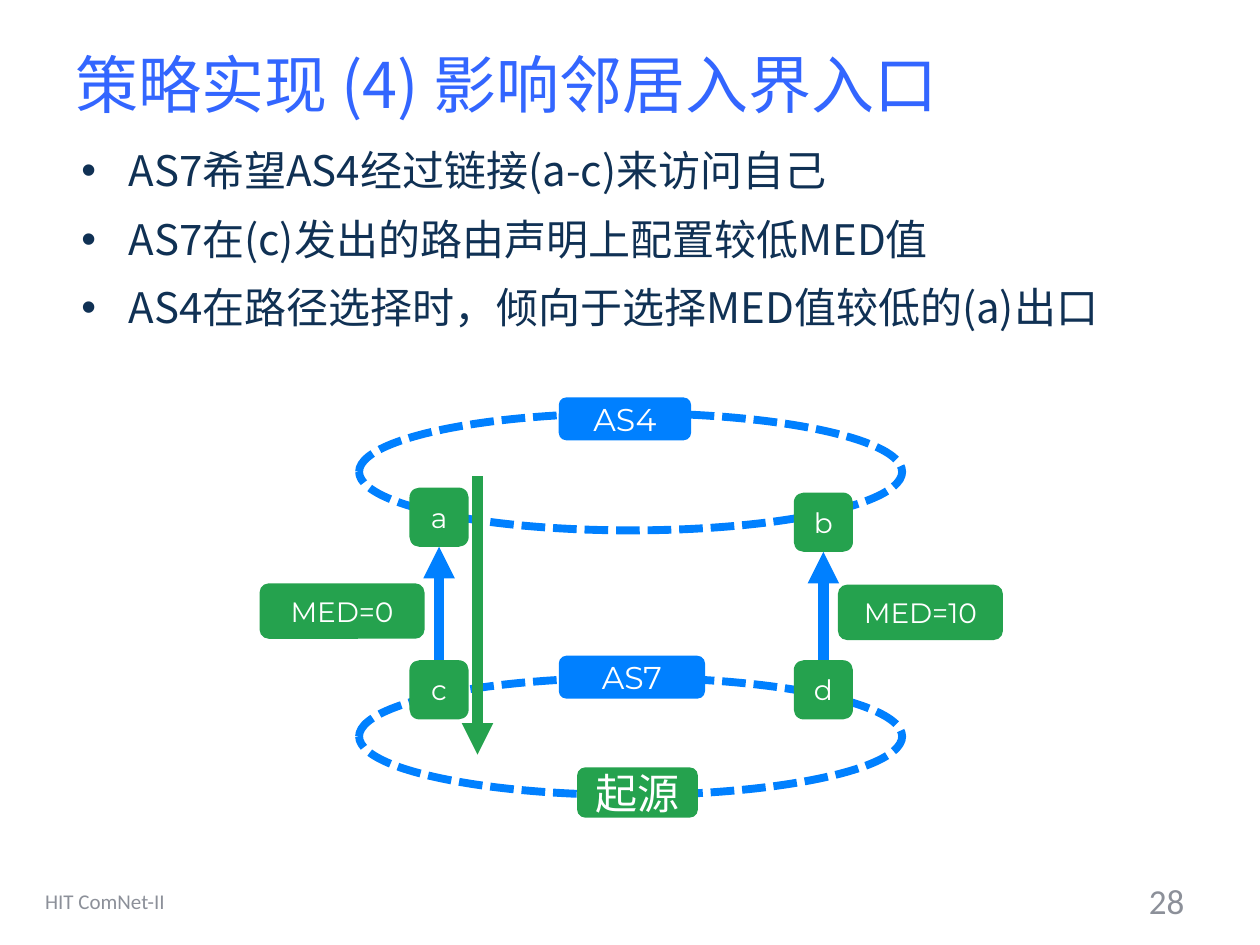
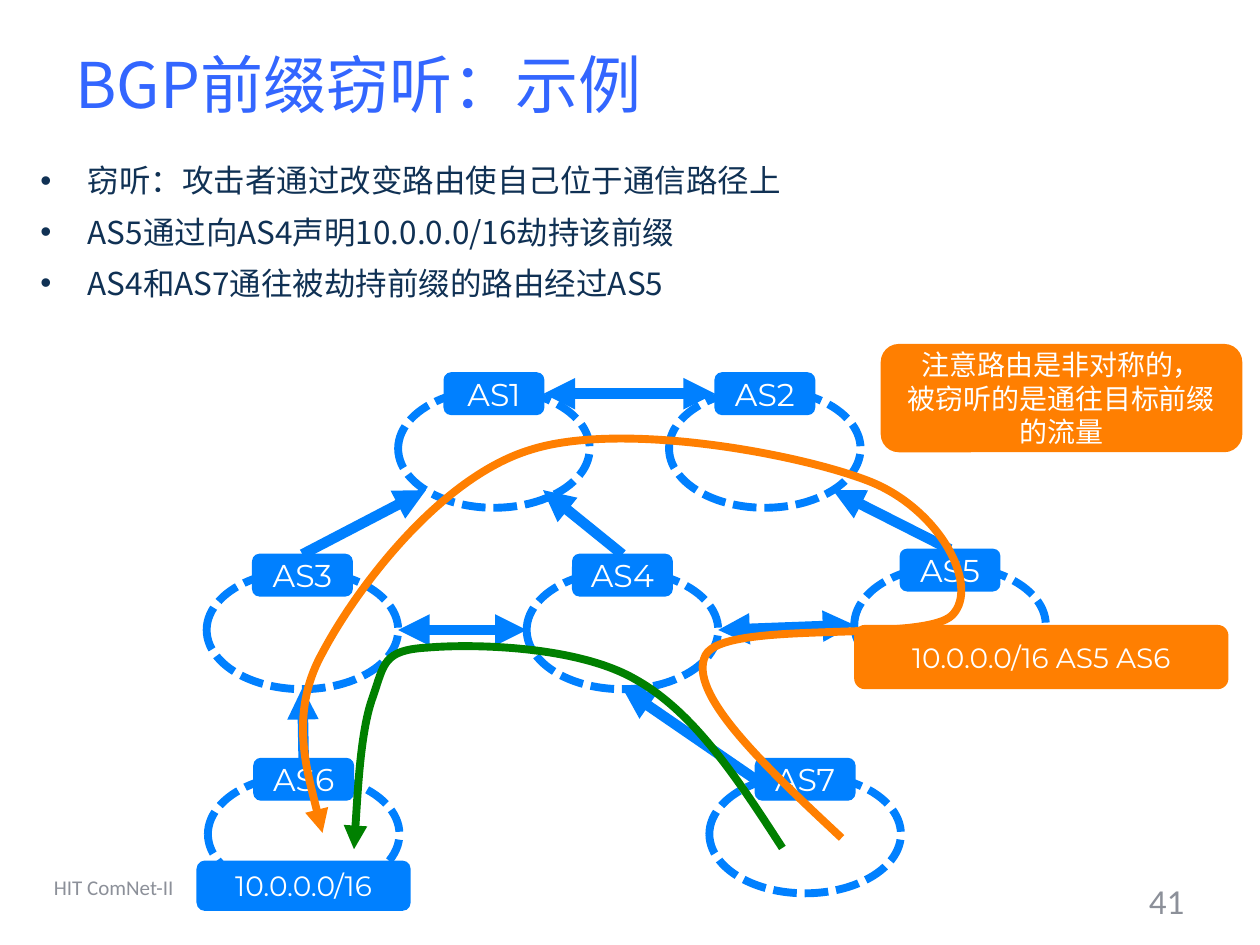
from lxml.etree import SubElement
from pptx import Presentation
from pptx.dml.color import RGBColor
from pptx.enum.dml import MSO_LINE
from pptx.enum.shapes import MSO_CONNECTOR, MSO_SHAPE
from pptx.enum.text import MSO_ANCHOR, MSO_AUTO_SIZE, PP_ALIGN
from pptx.oxml.ns import qn
from pptx.util import Inches, Pt

ELLIPSE, ROUNDED = MSO_SHAPE.OVAL, MSO_SHAPE.ROUNDED_RECTANGLE
STRAIGHT, DASHED = MSO_CONNECTOR.STRAIGHT, MSO_LINE.SQUARE_DOT
LEFT, CENTER, RIGHT = PP_ALIGN.LEFT, PP_ALIGN.CENTER, PP_ALIGN.RIGHT
TOP, MIDDLE = MSO_ANCHOR.TOP, MSO_ANCHOR.MIDDLE
SITE_TOP, SITE_LEFT, SITE_BOTTOM, SITE_RIGHT = range(4)

TITLE_BLUE = RGBColor(0x33, 0x66, 0xFF)
NAVY = RGBColor(0x10, 0x31, 0x54)
GRAY = RGBColor(0x8C, 0x90, 0x99)
WHITE = RGBColor(0xFF, 0xFF, 0xFF)
BLUE = RGBColor(0x00, 0x80, 0xFF)
GREEN = RGBColor(0x25, 0xA2, 0x4E)
DARK_GREEN = RGBColor(0x00, 0x80, 0x00)
ORANGE = RGBColor(0xFF, 0x7F, 0x01)

CJK, LATIN, FOOTER = "Noto Sans CJK SC", "Montserrat", "Calibri"
COLUMNS, ROWS = 100, 75


def grid(*cells):
    return [Inches(cell / 10) for cell in cells]


def write(box, lines, size=16, font=LATIN, color=WHITE, align=CENTER,
          anchor=MIDDLE, line_spacing=1.0, space_before=0):
    frame = box.text_frame
    frame.word_wrap = True
    frame.auto_size = MSO_AUTO_SIZE.NONE
    frame.vertical_anchor = anchor
    for index, line in enumerate(lines):
        para = frame.add_paragraph() if index else frame.paragraphs[0]
        para.alignment = align
        para.line_spacing = line_spacing
        para.space_before = Pt(space_before if index else 0)
        span = para.add_run()
        span.text = line
        span.font.size = Pt(size)
        span.font.name = font
        span.font.color.rgb = color
        SubElement(span.font._element, qn("a:ea"), typeface=font)


def place(box, area):
    box.left, box.top, box.width, box.height = grid(*area)


def add_page(deck, title, points, body_area, body_size, number, footer_at):
    page = deck.slides.add_slide(deck.slide_layouts[1])
    heading, body = page.placeholders
    place(heading, (5, 0.4, 90, 12.5))
    write(heading, [title], size=36, font=CJK, color=TITLE_BLUE, align=LEFT)
    place(body, body_area)
    write(body, points, size=body_size, font=CJK, color=NAVY, align=LEFT,
          anchor=TOP, line_spacing=1.2, space_before=body_size * 0.19)
    footer = page.shapes.add_textbox(*grid(*footer_at, 31.7, 4))
    write(footer, ["HIT ComNet-II"], size=12, font=FOOTER, color=GRAY, align=LEFT)
    counter = page.shapes.add_textbox(*grid(71.7, 69.5, 23.3, 4))
    write(counter, [number], size=20, font=FOOTER, color=GRAY, align=RIGHT)
    return page


def add_label(page, lines, area, color, **text_format):
    box = page.shapes.add_shape(ROUNDED, *grid(*area))
    box.shadow.inherit = False
    box.fill.solid()
    box.fill.fore_color.rgb = color
    box.line.fill.background()
    write(box, lines, **text_format)
    return box


def add_system(page, name, ring_area, label_area):
    ring = page.shapes.add_shape(ELLIPSE, *grid(*ring_area))
    ring.shadow.inherit = False
    ring.fill.background()
    ring.line.color.rgb = BLUE
    ring.line.width = Pt(4.5)
    ring.line.dash_style = DASHED
    label = add_label(page, [name], label_area, BLUE, size=18)
    label.line.color.rgb = BLUE
    label.line.width = Pt(0.75)
    return label


def add_arrowheads(shape, ends):
    outline = shape._element.spPr.find(qn("a:ln"))
    for end in ends:
        SubElement(outline, qn(f"a:{end}"), type="triangle")


def add_arrow(page, start, finish, color=BLUE, ends=("headEnd",)):
    def position(end):
        return grid(*end) if isinstance(end[0], (int, float)) else (0, 0)

    arrow = page.shapes.add_connector(STRAIGHT, *position(start), *position(finish))
    for end, connect in ((start, arrow.begin_connect), (finish, arrow.end_connect)):
        if not isinstance(end[0], (int, float)):
            connect(*end)
    arrow.line.color.rgb = color
    arrow.line.width = Pt(6)
    add_arrowheads(arrow, ends)
    SubElement(arrow._element.spPr, qn("a:effectLst"))


def add_route(page, knots, color):
    builder = page.shapes.build_freeform(*grid(*knots[0]))
    builder.add_line_segments([grid(*knot) for knot in knots[3::3]], close=False)
    route = builder.convert_to_shape()
    for index, segment in enumerate(list(route._element.iter(qn("a:lnTo")))):
        segment.tag = qn("a:cubicBezTo")
        for knot in knots[3 * index + 1:3 * index + 3]:
            x, y = grid(*knot)
            SubElement(segment, qn("a:pt"), x=str(x - route.left), y=str(y - route.top))
        segment.append(segment[0])
    route.shadow.inherit = False
    route.fill.background()
    route.line.color.rgb = color
    route.line.width = Pt(4.5)
    add_arrowheads(route, ["tailEnd"])


def add_entry_policy(deck):
    page = add_page(deck, "策略实现 (4) 影响邻居入界入口", [
        "AS7希望AS4经过链接(a-c)来访问自己",
        "AS7在(c)发出的路由声明上配置较低MED值",
        "AS4在路径选择时，倾向于选择MED值较低的(a)出口",
    ], (5.45, 10.2, 90, 16), 24, "28", (2.6, 69.5))
    add_system(page, "AS4", (28.5, 32.8, 43.1, 9.3), (44.4, 31.6, 10.4, 3.3))
    add_system(page, "AS7", (28.5, 53.8, 43.1, 9.3), (44.4, 52.1, 11.5, 3.3))
    add_arrow(page, (37.9, 37.8), (37.9, 59.9), GREEN, ["tailEnd"])
    add_label(page, ["起源"], (45.8, 60.9, 9.6, 4), GREEN, size=24, font=CJK)
    routers = {
        name: add_label(page, [name], (column, row, 4.7, 4.7), GREEN)
        for name, column, row in (("a", 32.5, 38.7), ("b", 63, 39.1),
                                  ("d", 63, 52.4), ("c", 32.5, 52.4))
    }
    for upper, lower in ("ac", "bd"):
        add_arrow(page, (routers[upper], SITE_BOTTOM), (routers[lower], SITE_TOP))
    for text, column, row in (("MED=0", 20.6, 46.3), ("MED=10", 66.5, 46.4)):
        add_label(page, [text], (column, row, 13.1, 4.4), GREEN)


def add_interception(deck):
    page = add_page(deck, "BGP前缀窃听：示例", [
        "窃听：攻击者通过改变路由使自己位于通信路径上",
        "AS5通过向AS4声明10.0.0.0/16劫持该前缀",
        "AS4和AS7通往被劫持前缀的路由经过AS5",
    ], (2.2, 11.7, 96.4, 14), 18, "41", (3.3, 68.4))
    systems = {
        name: add_system(page, name, (column, row, 15.2, 9.4),
                         (column + 3.65, row - 1.3, 7.9, 3.3))
        for name, column, row in (
            ("AS2", 53.1, 30.9), ("AS1", 31.6, 30.9), ("AS3", 16.4, 45.3),
            ("AS4", 41.8, 45.3), ("AS5", 67.8, 44.9), ("AS6", 16.5, 61.5),
            ("AS7", 56.3, 61.5))
    }
    for provider_edge, customer, site in (
            ((24, 54.6), "AS6", SITE_TOP), ((49.4, 54.6), "AS7", SITE_LEFT),
            ((66.1, 38.9), "AS5", SITE_TOP), ((43.1, 38.9), "AS4", SITE_TOP),
            ((33.8, 38.9), "AS3", SITE_TOP)):
        add_arrow(page, provider_edge, (systems[customer], site))
    for start, finish in (
            ((systems["AS1"], SITE_RIGHT), (systems["AS2"], SITE_LEFT)),
            ((31.6, 50), (41.8, 50)), ((57, 50), (67.8, 49.6))):
        add_arrow(page, start, finish, ends=("headEnd", "tailEnd"))
    add_route(page, [
        (62.1, 67.3), (58.6, 61.9), (55.1, 56.5), (50.4, 53.9),
        (45.7, 51.2), (37.3, 51.1), (33.9, 51.4),
        (30.4, 51.6), (30.5, 52.7), (29.6, 55.3),
        (28.6, 58), (28.1, 67.4), (28.1, 67.4)], DARK_GREEN)
    add_label(page, ["10.0.0.0/16"], (15.6, 68.3, 17, 4), BLUE)
    add_label(page, ["10.0.0.0/16 AS5 AS6"], (67.8, 49.6, 29.7, 5.1), ORANGE)
    add_route(page, [
        (66.8, 66.5), (60.7, 60.8), (54.5, 55), (56, 52),
        (57.5, 49.1), (73.4, 51.1), (75.6, 48.8),
        (77.8, 46.5), (74.6, 40.4), (69, 38.2),
        (63.4, 36), (49.3, 33.4), (42.1, 35.7),
        (34.9, 37.9), (28.3, 46.7), (25.6, 51.8),
        (22.8, 56.8), (25.6, 66.1), (25.6, 66.1)], ORANGE)
    add_label(page, ["注意路由是非对称的，", "被窃听的是通往目标前缀的流量"],
              (69.9, 27.3, 28.7, 8.6), ORANGE)


def main():
    deck = Presentation()
    deck.slide_width, deck.slide_height = grid(COLUMNS, ROWS)
    add_entry_policy(deck)
    add_interception(deck)
    deck.save("out.pptx")


if __name__ == "__main__":
    main()
